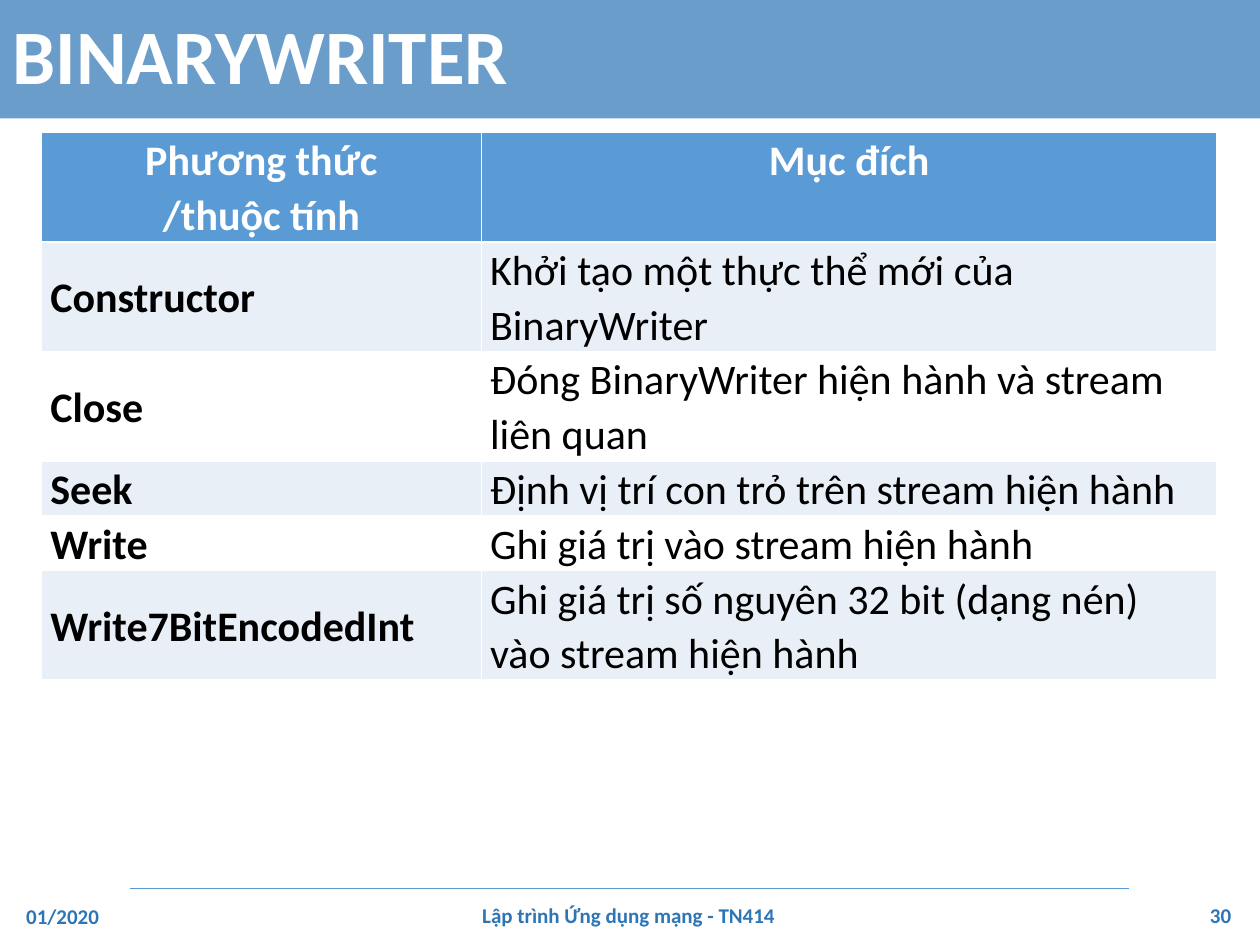
from dataclasses import dataclass
from lxml.etree import SubElement
from pptx import Presentation
from pptx.dml.color import RGBColor
from pptx.enum.text import MSO_ANCHOR, PP_ALIGN
from pptx.oxml.ns import qn
from pptx.util import Inches, Pt

# Content
TITLE = "BINARYWRITER"
HEAD = [["Phương thức", "/thuộc tính"], ["Mục đích"]]
# method, purpose, lines of text in the row
ROWS = [
    ("Constructor", "Khởi tạo một thực thể mới của BinaryWriter", 2),
    ("Close", "Đóng BinaryWriter hiện hành và stream liên quan", 2),
    ("Seek", "Định vị trí con trỏ trên stream hiện hành", 1),
    ("Write", "Ghi giá trị vào stream hiện hành", 1),
    ("Write7BitEncodedInt",
     "Ghi giá trị số nguyên 32 bit (dạng nén) vào stream hiện hành", 2),
]
# text, left, top, width, alignment
FOOT = [
    ("01/2020", 0.11, 7.07, 0.9, PP_ALIGN.LEFT),
    ("Lập trình Ứng dụng mạng - TN414", 1.04, 7.06, 7.9, PP_ALIGN.CENTER),
    ("30", 8.97, 7.06, 0.9, PP_ALIGN.RIGHT),
]
COLS = [3.49, 5.84]
LINE = 0.435


@dataclass(frozen=True)
class Theme:
    font: str = "Calibri"
    dark: str = "2E75B5"
    blue: str = "5B9BD5"
    pale: str = "E9EFF7"
    white: str = "FFFFFF"
    black: str = "000000"
    title: int = 44
    body: int = 24
    foot: int = 12


T = Theme()


def rgb(code):
    return RGBColor.from_string(code)


def write(par, text, size, color, bold=True, align=PP_ALIGN.LEFT, space=1.0):
    par.alignment = align
    par.line_spacing = space
    run = par.add_run()
    run.text = text
    font = run.font
    font.name, font.size, font.bold = T.font, Pt(size), bold
    font.color.rgb = rgb(color)


def fill_cell(cell, lines, fill, color, bold, align, anchor):
    cell.fill.solid()
    cell.fill.fore_color.rgb = rgb(fill)
    cell.margin_left = cell.margin_right = Inches(0.07)
    cell.margin_top = cell.margin_bottom = 0
    cell.vertical_anchor = anchor
    frame = cell.text_frame
    for i, line in enumerate(lines):
        par = frame.add_paragraph() if i else frame.paragraphs[0]
        write(par, line, T.body, color, bold, align, 1.07)


deck = Presentation()
deck.slide_width, deck.slide_height = Inches(10), Inches(7.5)
slide = deck.slides.add_slide(deck.slide_layouts[5])
shapes = slide.shapes

# Footer rule
rule = shapes.add_connector(1, Inches(1.03), Inches(7.05),
                            Inches(8.96), Inches(7.05))
rule.line.color.rgb = rgb(T.blue)
rule.line.width = Pt(0.75)
SubElement(rule._element.spPr, qn("a:effectLst"))

# Title band, partly transparent
band = shapes.title
band.left, band.top = 0, 0
band.width, band.height = Inches(10), Inches(0.94)
band.fill.solid()
band.fill.fore_color.rgb = rgb(T.dark)
tint = band._element.spPr.find(qn("a:solidFill"))[0]
SubElement(tint, qn("a:alpha"), val="71000")
band.text_frame.word_wrap = True
band.text_frame.vertical_anchor = MSO_ANCHOR.MIDDLE
write(band.text_frame.paragraphs[0], TITLE, T.title, T.white, space=0.9)

# Footer texts
for text, left, top, width, align in FOOT:
    box = shapes.add_textbox(Inches(left), Inches(top),
                             Inches(width), Inches(0.4))
    box.text_frame.word_wrap = True
    box.text_frame.vertical_anchor = MSO_ANCHOR.MIDDLE
    write(box.text_frame.paragraphs[0], text, T.foot, T.dark, align=align)

# Method table
counts = [2] + [row[2] for row in ROWS]
table = shapes.add_table(len(counts), len(COLS), Inches(0.33), Inches(1.05),
                         Inches(sum(COLS)), Inches(LINE * sum(counts))).table
for col, width in zip(table.columns, COLS):
    col.width = Inches(width)
for row, count in zip(table.rows, counts):
    row.height = Inches(LINE * count)
for c, lines in enumerate(HEAD):
    fill_cell(table.cell(0, c), lines, T.blue, T.white, True,
              PP_ALIGN.CENTER, MSO_ANCHOR.TOP)
for r, row in enumerate(ROWS, 1):
    for c, text in enumerate(row[:2]):
        fill_cell(table.cell(r, c), [text], T.pale if r % 2 else T.white,
                  T.black, c == 0, PP_ALIGN.LEFT, MSO_ANCHOR.MIDDLE)

deck.save("out.pptx")
